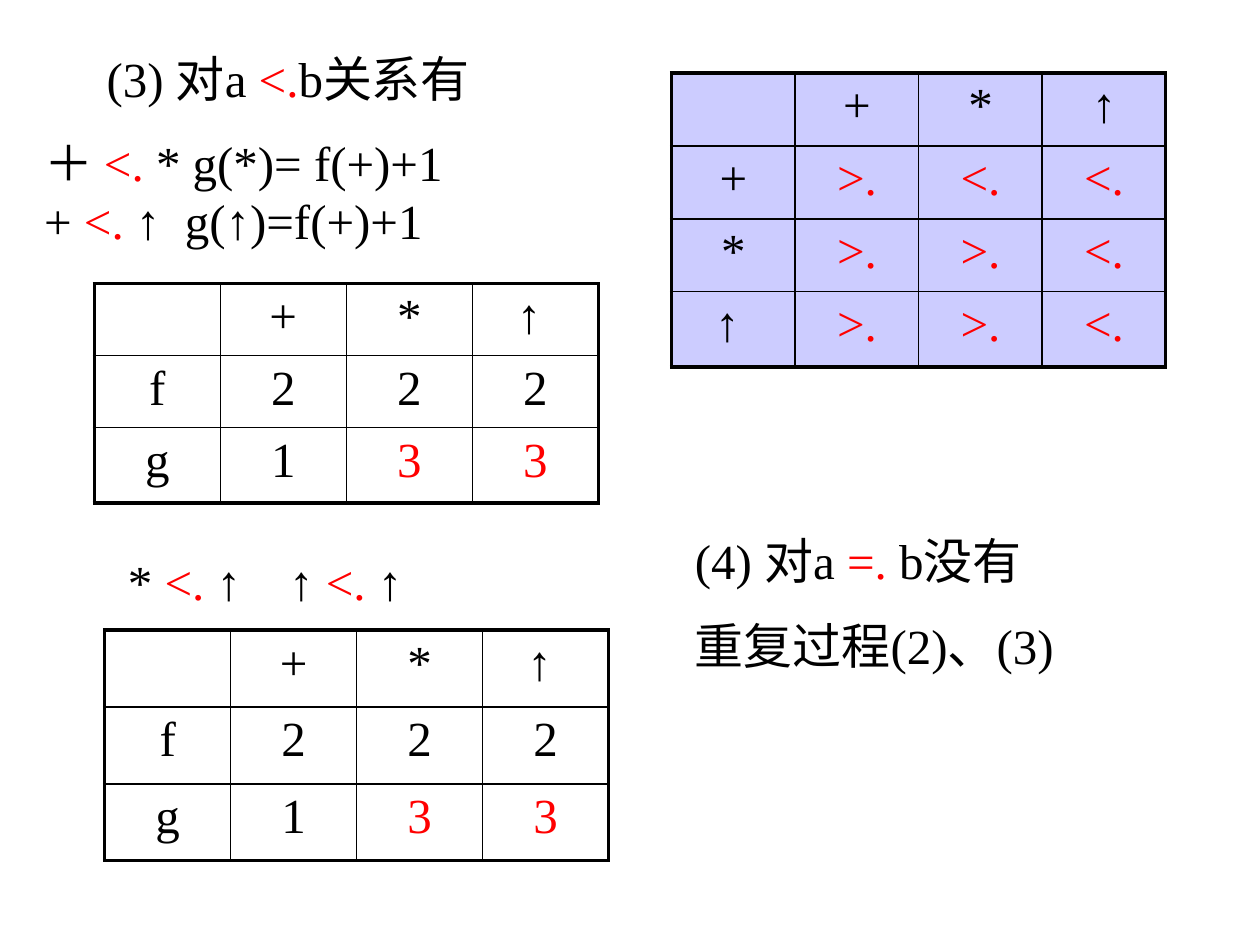
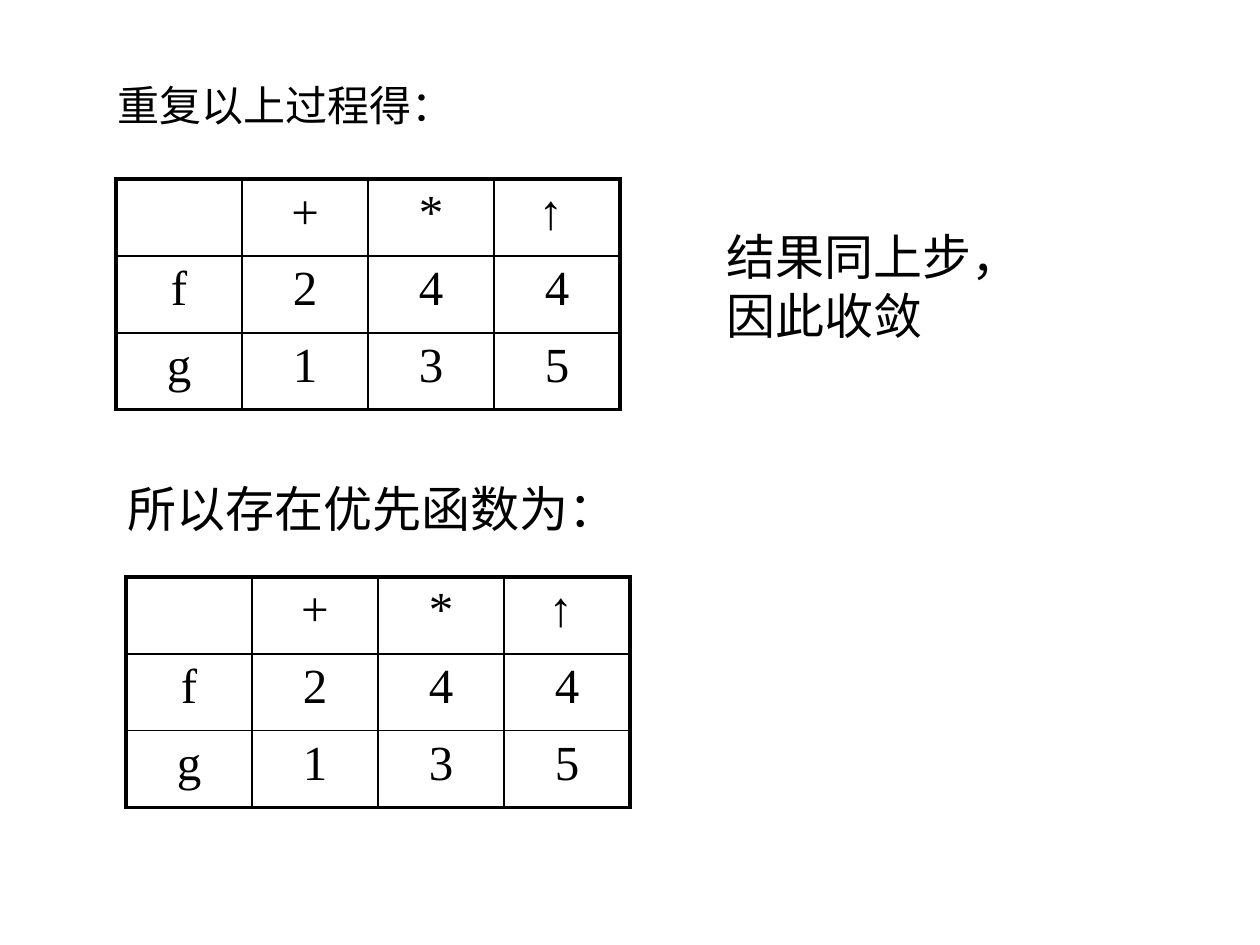
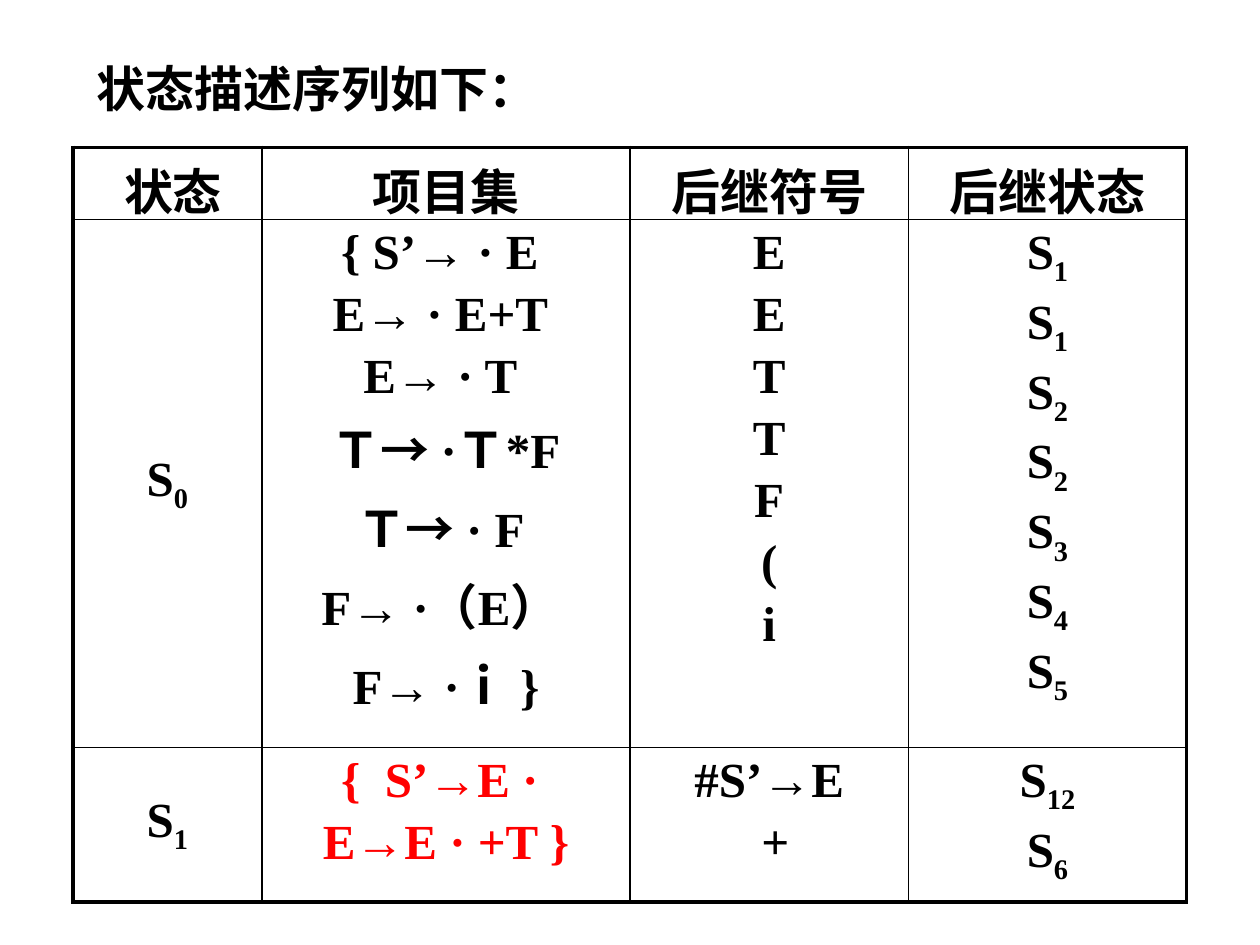
from lxml import etree
from pptx import Presentation
from pptx.dml.color import RGBColor
from pptx.enum.text import MSO_ANCHOR, MSO_AUTO_SIZE, PP_ALIGN
from pptx.oxml.ns import qn
from pptx.util import Cm, Pt

CENTER = PP_ALIGN.CENTER
LEFT = PP_ALIGN.LEFT
MIDDLE = MSO_ANCHOR.MIDDLE
TOP = MSO_ANCHOR.TOP
GROW = MSO_AUTO_SIZE.SHAPE_TO_FIT_TEXT

FONT = "Times New Roman"
BLACK = "000000"
RED = "FF0000"
LAVENDER = "CCCCFF"
OUTER_LINE = 2.25
INNER_LINE = 1
TAB_STOP = Cm(3.25)


# "|" separates runs; a run starting with "!" is red, with "_" subscript.
def write(frame, lines, size=28, bold=False, align=LEFT, gap=0):
    for index, line in enumerate(lines):
        para = frame.add_paragraph() if index else frame.paragraphs[0]
        para.alignment = align
        if index and gap:
            para.space_before = Pt(gap)
        if "\t" in line:
            tabs = etree.SubElement(para._p.get_or_add_pPr(), qn("a:tabLst"))
            etree.SubElement(tabs, qn("a:tab"), pos=str(TAB_STOP), algn="l")
        for part in line.split("|"):
            span = para.add_run()
            span.text = part.lstrip("!_")
            span.font.name = FONT
            span.font.size = Pt(size)
            span.font.bold = bold
            span.font.color.rgb = RGBColor.from_string(RED if part.startswith("!") else BLACK)
            if part.startswith("_"):
                span._r.get_or_add_rPr().set("baseline", "-25000")


def add_grid(page, left, top, widths, heights, rows, fill=None, bold=False, gap=0):
    frame = page.shapes.add_table(len(heights), len(widths), Cm(left), Cm(top),
                                  Cm(sum(widths)), Cm(sum(heights)))
    table = frame.table
    table.first_row = False
    table.horz_banding = False
    for column, width in zip(table.columns, widths):
        column.width = Cm(width)
    for row, height in zip(table.rows, heights):
        row.height = Cm(height)
    last_row, last_column = len(heights) - 1, len(widths) - 1
    for r, row in enumerate(rows):
        for c, text in enumerate(row):
            cell = table.cell(r, c)
            cell.vertical_anchor = MIDDLE if bold and r and c == 0 else TOP
            if fill:
                cell.fill.solid()
                cell.fill.fore_color.rgb = RGBColor.from_string(fill)
            else:
                cell.fill.background()
            if text:
                write(cell.text_frame, text.split("\n"), bold=bold, align=CENTER, gap=gap)
            edges = {"lnL": c == 0, "lnR": c == last_column,
                     "lnT": r == 0, "lnB": r == last_row}
            properties = cell._tc.get_or_add_tcPr()
            for position, (edge, outer) in enumerate(edges.items()):
                weight = Pt(OUTER_LINE if outer else INNER_LINE)
                line = etree.Element(qn("a:" + edge), w=str(weight))
                solid = etree.SubElement(line, qn("a:solidFill"))
                etree.SubElement(solid, qn("a:srgbClr"), val=BLACK)
                properties.insert(position, line)


deck = Presentation()
deck.slide_width = Cm(25.4)
deck.slide_height = Cm(19.05)
blank = deck.slide_layouts[6]
step_page, result_page, state_page = [deck.slides.add_slide(blank) for _ in range(3)]

operators = ["", "+", "*", "↑ "]
function_widths = [2.54] * 4
function_heights = [1.55] * 3
step_values = [operators, ["f", "2", "2", "2"], ["g", "1", "!3", "!3"]]
final_values = [operators, ["f", "2", "4", "4"], ["g", "1", "3", "5"]]
relations = [
    ["", "+", "*", "↑"],
    ["+", "!>.", "!<.", "!<."],
    ["*", "!>.", "!>.", "!<."],
    ["↑ ", "!>.", "!>.", "!<."],
]

add_grid(step_page, 1.9, 5.72, function_widths, [1.45, 1.45, 1.52], step_values)
add_grid(step_page, 13.54, 1.47, [2.49] * 4, [1.47, 1.47, 1.47, 1.52], relations, LAVENDER)
add_grid(step_page, 2.11, 12.7, function_widths, function_heights, step_values)
for left, top in [(2.34, 3.61), (2.54, 11.63)]:
    add_grid(result_page, left, top, function_widths, function_heights, final_values)

states = [
    [" 状态", "项目集", "后继符号", "后继状态"],
    [
        "S|_0",
        "{ S’→ · E \nE→ · E+T \nE→ · T \nＴ→ ·Ｔ*F\nＴ→ · F \nF→ ·（E） \nF→ ·ｉ }",
        "\n".join("EETTF(i"),
        "\n".join("S|_" + number for number in "1122345"),
    ],
    ["S|_1", "!{  S’→E · \n!E→E · +T }", "#S’→E\n +", "S|_12\nS|_6"],
]
add_grid(state_page, 1.47, 2.97, [3.81, 7.42, 5.61, 5.61], [1.45, 9.98, 2.87], states,
         bold=True, gap=4.5)

texts = [
    (step_page, 1.9, 0.85, 9.1, 1.45, ["(3) 对a |!<.|b关系有"], 28, False, 0),
    (step_page, 0.64, 2.54, 12.5, 2.62,
     ["＋ |!<. |* g(*)= f(+)+1", "+ |!<. |↑  g(↑)=f(+)+1"], 28, False, 0),
    (step_page, 2.33, 11, 8.05, 1.45, ["* |!<. |↑\t↑ |!<. |↑"], 28, False, 0),
    (step_page, 13.76, 10.58, 9.32, 3.23,
     ["(4) 对a |!=. |b没有", "重复过程(2)、(3)"], 28, False, 14.5),
    (result_page, 2.12, 1.48, 8.68, 1.6, ["重复以上过程得："], 24, False, 0),
    (result_page, 2.33, 9.53, 10.58, 1.45, ["所以存在优先函数为："], 28, False, 0),
    (result_page, 14.4, 4.45, 6.15, 2.62, ["结果同上步，因此收敛"], 28, False, 0),
    (state_page, 1.7, 1.06, 9.74, 1.45, ["状态描述序列如下："], 28, True, 0),
]
for page, left, top, width, height, lines, size, bold, gap in texts:
    box = page.shapes.add_textbox(Cm(left), Cm(top), Cm(width), Cm(height))
    box.text_frame.word_wrap = True
    box.text_frame.auto_size = GROW
    write(box.text_frame, lines, size, bold, gap=gap)

deck.save("out.pptx")
